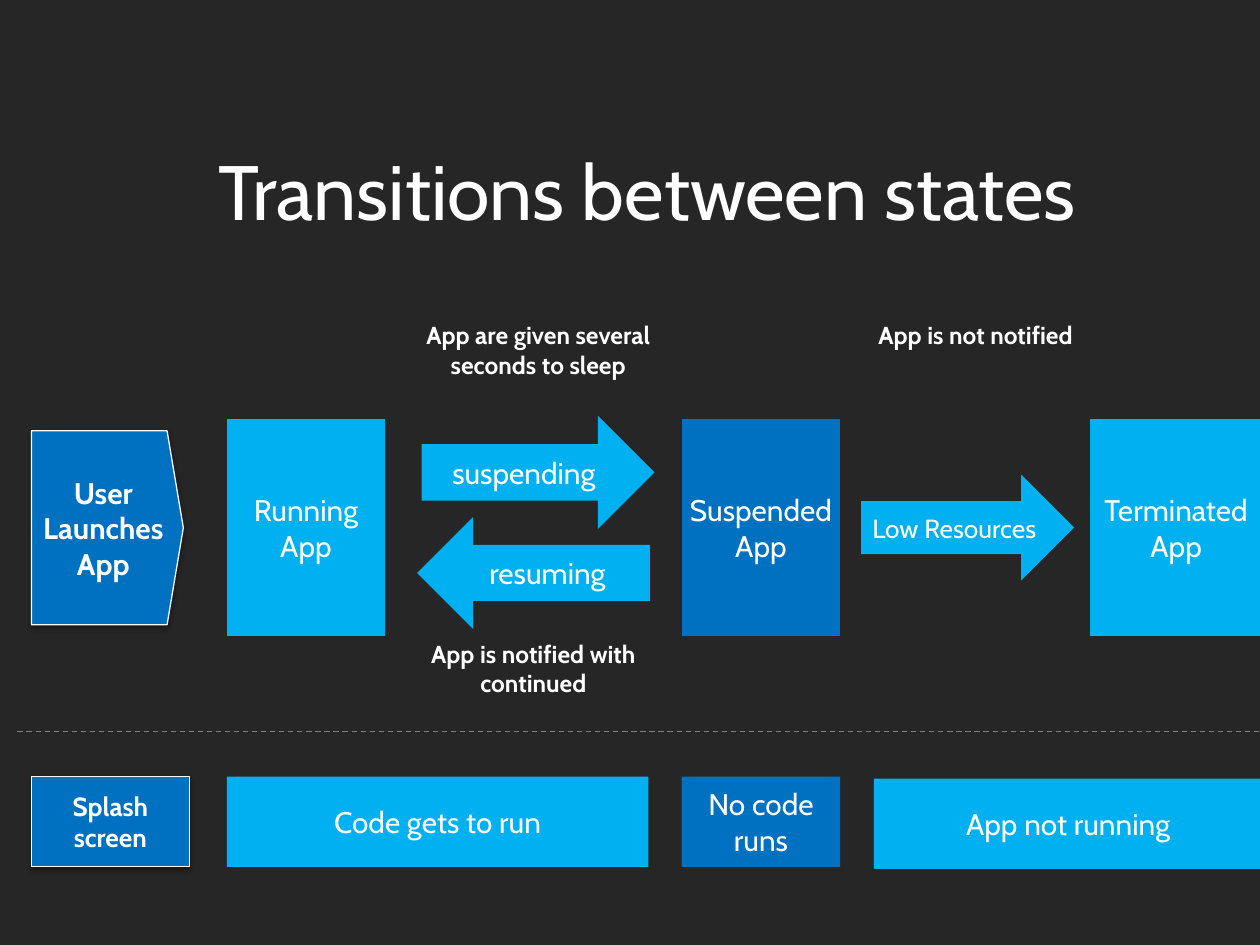
"""Build the slide on transitions between app states."""
from lxml import etree
from pptx import Presentation
from pptx import util as u
from pptx.dml import color
from pptx.enum import dml, shapes, text
from pptx.oxml import ns

FONT = "Cabin"
WHITE, BACKDROP, OUTLINE, DIVIDER = "FFFFFF", "262626", "F9F9F9", "808080"
ACTIVE, PAUSED = "00B0F0", "0070C0"
KIND = shapes.MSO_SHAPE


def rgb(value):
    """Turn a hex string into a colour."""
    return color.RGBColor.from_string(value)


def points(*lengths):
    """Turn numbers into lengths in points."""
    return [u.Pt(length) for length in lengths]


def write(frame, wording, size, bold=False, side=5, top=3, anchor=text.MSO_ANCHOR.MIDDLE):
    """Fill a text frame with centred white text, one paragraph per line."""
    frame.text = wording
    frame.word_wrap = True
    frame.vertical_anchor = anchor
    frame.margin_left = frame.margin_right = u.Pt(side)
    frame.margin_top = frame.margin_bottom = u.Pt(top)
    for paragraph in frame.paragraphs:
        paragraph.alignment = text.PP_ALIGN.CENTER
        for run in paragraph.runs:
            run.font.name, run.font.size, run.font.bold = FONT, u.Pt(size), bold
            run.font.color.rgb = rgb(WHITE)


def add_label(slide, wording, box, size=14, bold=True, side=0, top=0):
    """Add free-standing text aligned to the top of its box."""
    label = slide.shapes.add_textbox(*points(*box))
    write(label.text_frame, wording, size, bold, side, top, text.MSO_ANCHOR.TOP)


def add_block(slide, kind, wording, box, fill, size=17, bold=False, side=5):
    """Add a flat filled shape with text and return it."""
    block = slide.shapes.add_shape(kind, *points(*box))
    block.shadow.inherit = False
    block.fill.solid()
    block.fill.fore_color.rgb = rgb(fill)
    block.line.fill.background()
    write(block.text_frame, wording, size, bold, side)
    return block


def add_launch_block(slide, kind, wording, box, size):
    """Add an outlined block with a soft shadow and return it."""
    block = add_block(slide, kind, wording, box, PAUSED, size, bold=True)
    block.line.fill.solid()
    block.line.color.rgb = rgb(OUTLINE)
    block.line.width = u.Pt(0.75)
    effects = block._element.spPr.find(ns.qn("a:effectLst"))
    shadow = etree.SubElement(effects, ns.qn("a:outerShdw"), blurRad=str(u.Pt(3.1)),
                              dist=str(u.Pt(1.6)), dir="5400000", rotWithShape="0")
    shade = etree.SubElement(shadow, ns.qn("a:srgbClr"), val="000000")
    etree.SubElement(shade, ns.qn("a:alpha"), val="38000")
    return block


def add_divider(slide, left, right, y):
    """Add the dashed horizontal line between the two rows."""
    divider = slide.shapes.add_connector(shapes.MSO_CONNECTOR.STRAIGHT, *points(left, y, right, y))
    divider.line.color.rgb = rgb(DIVIDER)
    divider.line.width = u.Pt(0.75)
    divider.line.dash_style = dml.MSO_LINE.DASH
    etree.SubElement(divider._element.spPr, ns.qn("a:effectLst"))


def main():
    """Build and save the slide."""
    deck = Presentation()
    deck.slide_width, deck.slide_height = points(720, 540)
    slide = deck.slides.add_slide(deck.slide_layouts[6])
    slide.background.fill.solid()
    slide.background.fill.fore_color.rgb = rgb(BACKDROP)

    add_label(slide, "Transitions between states", (46, 78.5, 648, 90), 44, False, 7.2, 3.6)

    state_top, state_height = 239.2, 124.4
    for state, left, width, fill, side in (
        ("Running\nApp", 129.6, 90.6, ACTIVE, 0),
        ("Suspended\nApp", 389.6, 90.6, PAUSED, 0),
        ("Terminated\nApp", 622.8, 98.6, ACTIVE, 5),
    ):
        box = left, state_top, width, state_height
        add_block(slide, KIND.FLOWCHART_PROCESS, state, box, fill, side=side)

    for transition, kind, box, size in (
        ("suspending", KIND.RIGHT_ARROW, (241, 237.6, 133, 64.6), 17),
        ("resuming", KIND.LEFT_ARROW, (238.4, 295.4, 133, 64), 17),
        ("Low Resources", KIND.RIGHT_ARROW, (492, 271.2, 121.8, 60.6), 15),
    ):
        add_block(slide, kind, transition, box, ACTIVE, size)

    add_label(slide, "App are given several seconds to sleep", (232.6, 183, 150, 34))
    add_label(slide, "App is not notified", (492, 183, 131, 17))
    add_label(slide, "App is notified with continued", (220.3, 365, 169, 34))

    add_divider(slide, 10, 730, 418)

    activity_top, activity_height = 443.8, 51.6
    for activity, left, top, width, fill, side in (
        ("Code gets to run", 129.6, activity_top, 241, ACTIVE, 5),
        ("No code runs", 389.6, activity_top, 90.6, PAUSED, 0),
        ("App not running", 499.4, activity_top + 1.2, 222, ACTIVE, 5),
    ):
        box = left, top, width, activity_height
        add_block(slide, KIND.RECTANGLE, activity, box, fill, side=side)

    launch = add_launch_block(slide, KIND.PENTAGON, "User Launches App", (18, 246.2, 86.8, 110.8), 17)
    launch.adjustments[0] = 0.107
    add_launch_block(slide, KIND.RECTANGLE, "Splash screen",
                     (18, activity_top, 90.2, activity_height), 15)

    deck.save("out.pptx")


if __name__ == "__main__":
    main()
